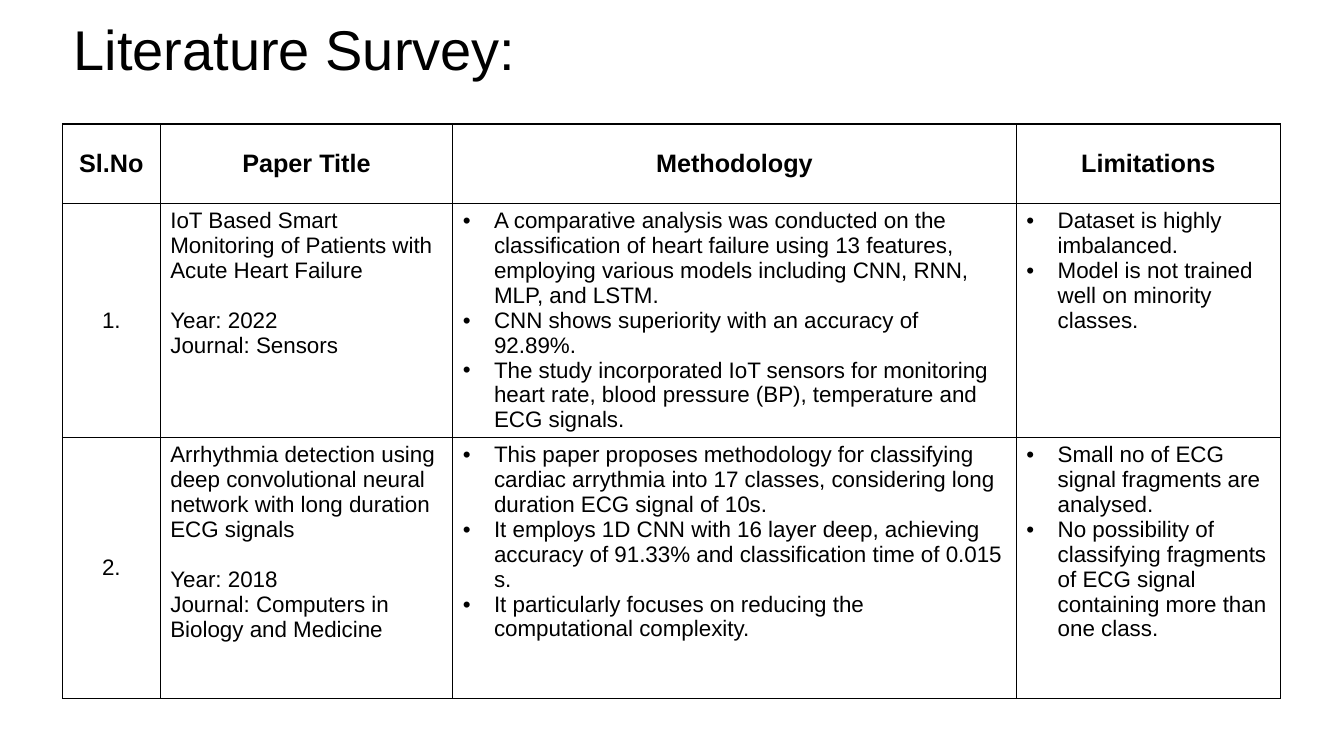
import dataclasses
import typing

import lxml.etree
import pptx
import pptx.dml.color
import pptx.enum.text
import pptx.oxml.ns
import pptx.table
import pptx.text.text
import pptx.util

ALIGN = pptx.enum.text.PP_ALIGN
ANCHOR = pptx.enum.text.MSO_ANCHOR
COLOURS = {"ink": "000000", "paper": "FFFFFF"}
FONT = "Arial"
SLIDE_WIDTH = pptx.util.Inches(13.33)
SLIDE_HEIGHT = pptx.util.Inches(7.5)

# Shares of the slide's size, in percent
TITLE_BOX = (4.73, -2.8, 86.27, 19.33)
TABLE_LEFT, TABLE_TOP = 4.65, 16.4
COLUMN_SHARES = (7.28, 21.76, 41.94, 19.65)
ROW_SHARES = (10.53, 29.2, 34.53)

BULLET_INDENT = pptx.util.Inches(0.31)
BORDER_WIDTH = pptx.util.Pt(1)
HEADINGS = ("Sl.No", "Paper Title", "Methodology", "Limitations")


@dataclasses.dataclass(frozen=True)
class Paper:
    title: str
    year: int
    journal: str
    methodology: tuple[str, ...]
    limitations: tuple[str, ...]


PAPERS = (
    Paper(
        "IoT Based Smart Monitoring of Patients with Acute Heart Failure",
        2022,
        "Sensors",
        (
            "A comparative analysis was conducted on the classification of heart failure "
            "using 13 features, employing various models including CNN, RNN, MLP, and LSTM.",
            "CNN shows superiority with an accuracy of 92.89%.",
            "The study incorporated IoT sensors for monitoring heart rate, "
            "blood pressure (BP), temperature and ECG signals.",
        ),
        (
            "Dataset is highly imbalanced.",
            "Model is not trained well on minority classes.",
        ),
    ),
    Paper(
        "Arrhythmia detection using deep convolutional neural network "
        "with long duration ECG signals",
        2018,
        "Computers in Biology and Medicine",
        (
            "This paper proposes methodology for classifying cardiac arrythmia into "
            "17 classes, considering long duration ECG signal of 10s.",
            "It employs 1D CNN with 16 layer deep, achieving accuracy of 91.33% "
            "and classification time of 0.015 s.",
            "It particularly focuses on reducing the computational complexity.",
        ),
        (
            "Small no of ECG signal fragments are analysed.",
            "No possibility of classifying fragments of ECG signal "
            "containing more than one class.",
        ),
    ),
)


def across(percent: float) -> int:
    return round(SLIDE_WIDTH * percent / 100)


def down(percent: float) -> int:
    return round(SLIDE_HEIGHT * percent / 100)


def add_bullet(paragraph: pptx.text.text._Paragraph) -> None:
    properties = paragraph._p.get_or_add_pPr()
    properties.set("marL", str(BULLET_INDENT))
    properties.set("indent", str(-BULLET_INDENT))
    for tag, name, value in (("a:buFont", "typeface", FONT), ("a:buChar", "char", "•")):
        element = lxml.etree.SubElement(properties, pptx.oxml.ns.qn(tag))
        element.set(name, value)


def write_text(
    frame: pptx.text.text.TextFrame,
    lines: typing.Sequence[str],
    *,
    size: float = 16,
    bold: bool = False,
    align: ALIGN = ALIGN.LEFT,
    bulleted: bool = False,
    line_spacing: float | None = None,
    gap_before: int | None = None,
) -> None:
    """Write one paragraph per line; gap_before is the line that follows a blank space."""
    for index, line in enumerate(lines):
        paragraph = frame.paragraphs[0] if index == 0 else frame.add_paragraph()
        paragraph.alignment = align
        if line_spacing is not None:
            paragraph.line_spacing = line_spacing
        if index == gap_before:
            paragraph.space_before = pptx.util.Pt(18)
        if bulleted:
            add_bullet(paragraph)
        run = paragraph.add_run()
        run.text = line
        run.font.name = FONT
        run.font.size = pptx.util.Pt(size)
        run.font.bold = bold
        run.font.color.rgb = pptx.dml.color.RGBColor.from_string(COLOURS["ink"])


def style_cell(cell: pptx.table._Cell, anchor: ANCHOR) -> None:
    """Give the cell black borders, a plain fill and a vertical anchor."""
    qualified = pptx.oxml.ns.qn
    properties = cell._tc.get_or_add_tcPr()
    for side in ("a:lnL", "a:lnR", "a:lnT", "a:lnB"):
        border = lxml.etree.SubElement(properties, qualified(side), w=str(BORDER_WIDTH))
        fill = lxml.etree.SubElement(border, qualified("a:solidFill"))
        lxml.etree.SubElement(fill, qualified("a:srgbClr"), val=COLOURS["ink"])
    cell.fill.solid()
    cell.fill.fore_color.rgb = pptx.dml.color.RGBColor.from_string(COLOURS["paper"])
    cell.vertical_anchor = anchor


def add_title(slide: pptx.slide.Slide) -> None:
    title = slide.shapes.title
    left, top, width, height = TITLE_BOX
    title.left, title.top = across(left), down(top)
    title.width, title.height = across(width), down(height)
    frame = title.text_frame
    frame.auto_size = pptx.enum.text.MSO_AUTO_SIZE.NONE
    frame.vertical_anchor = ANCHOR.MIDDLE
    write_text(frame, ["Literature Survey:"], size=40, line_spacing=0.9)


def add_survey_table(slide: pptx.slide.Slide) -> None:
    table = slide.shapes.add_table(
        len(ROW_SHARES), len(COLUMN_SHARES),
        across(TABLE_LEFT), down(TABLE_TOP),
        across(sum(COLUMN_SHARES)), down(sum(ROW_SHARES)),
    ).table
    table.first_row = table.horz_banding = False
    for column, share in zip(table.columns, COLUMN_SHARES):
        column.width = across(share)
    for row, share in zip(table.rows, ROW_SHARES):
        row.height = down(share)

    for column_index, heading in enumerate(HEADINGS):
        cell = table.cell(0, column_index)
        style_cell(cell, ANCHOR.MIDDLE)
        write_text(cell.text_frame, [heading], size=18, bold=True, align=ALIGN.CENTER)

    for number, paper in enumerate(PAPERS, start=1):
        number_cell, title_cell, *list_cells = table.rows[number].cells
        style_cell(number_cell, ANCHOR.MIDDLE)
        write_text(number_cell.text_frame, [f"{number}."], align=ALIGN.CENTER)
        style_cell(title_cell, ANCHOR.TOP)
        details = [paper.title, f"Year: {paper.year}", f"Journal: {paper.journal}"]
        write_text(title_cell.text_frame, details, gap_before=1)
        for cell, points in zip(list_cells, (paper.methodology, paper.limitations)):
            style_cell(cell, ANCHOR.TOP)
            write_text(cell.text_frame, points, bulleted=True)


def main() -> None:
    presentation = pptx.Presentation()
    presentation.slide_width = SLIDE_WIDTH
    presentation.slide_height = SLIDE_HEIGHT
    title_only = presentation.slide_layouts.get_by_name("Title Only")
    slide = presentation.slides.add_slide(title_only)
    add_survey_table(slide)
    add_title(slide)
    presentation.save("out.pptx")


if __name__ == "__main__":
    main()
